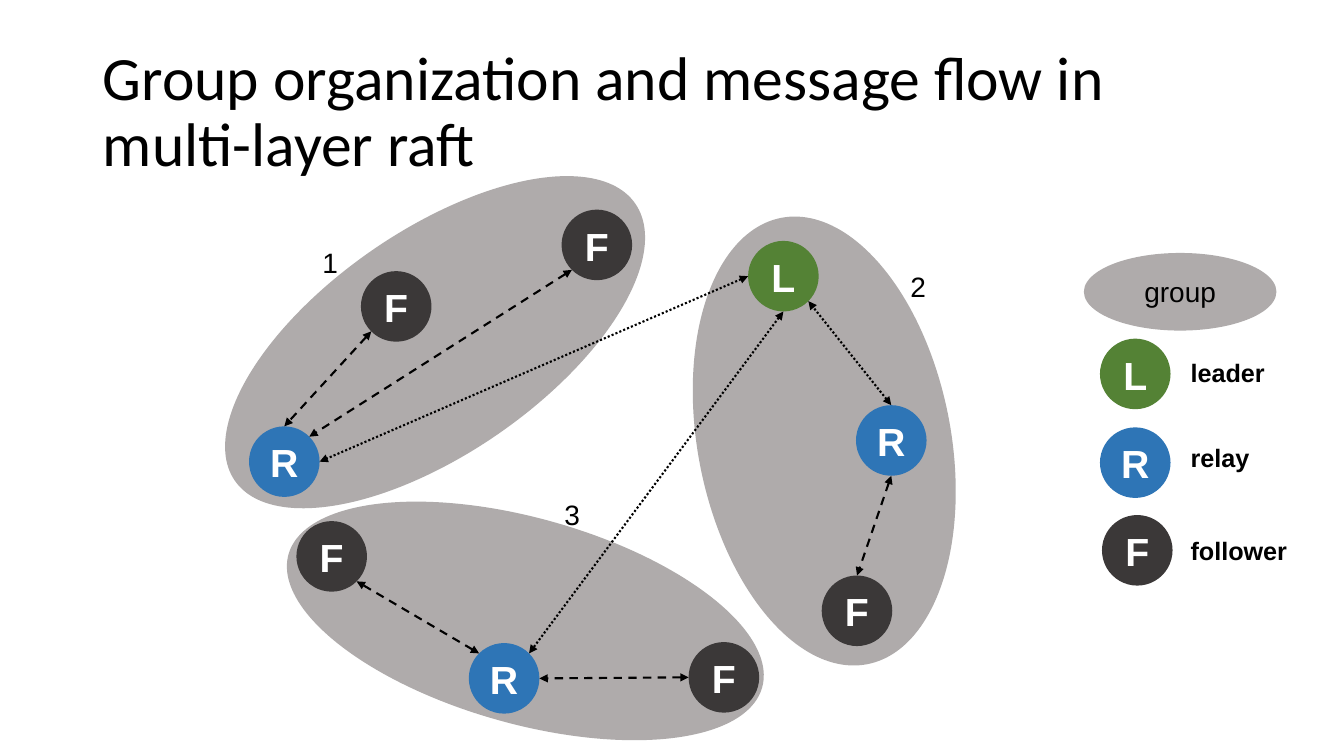
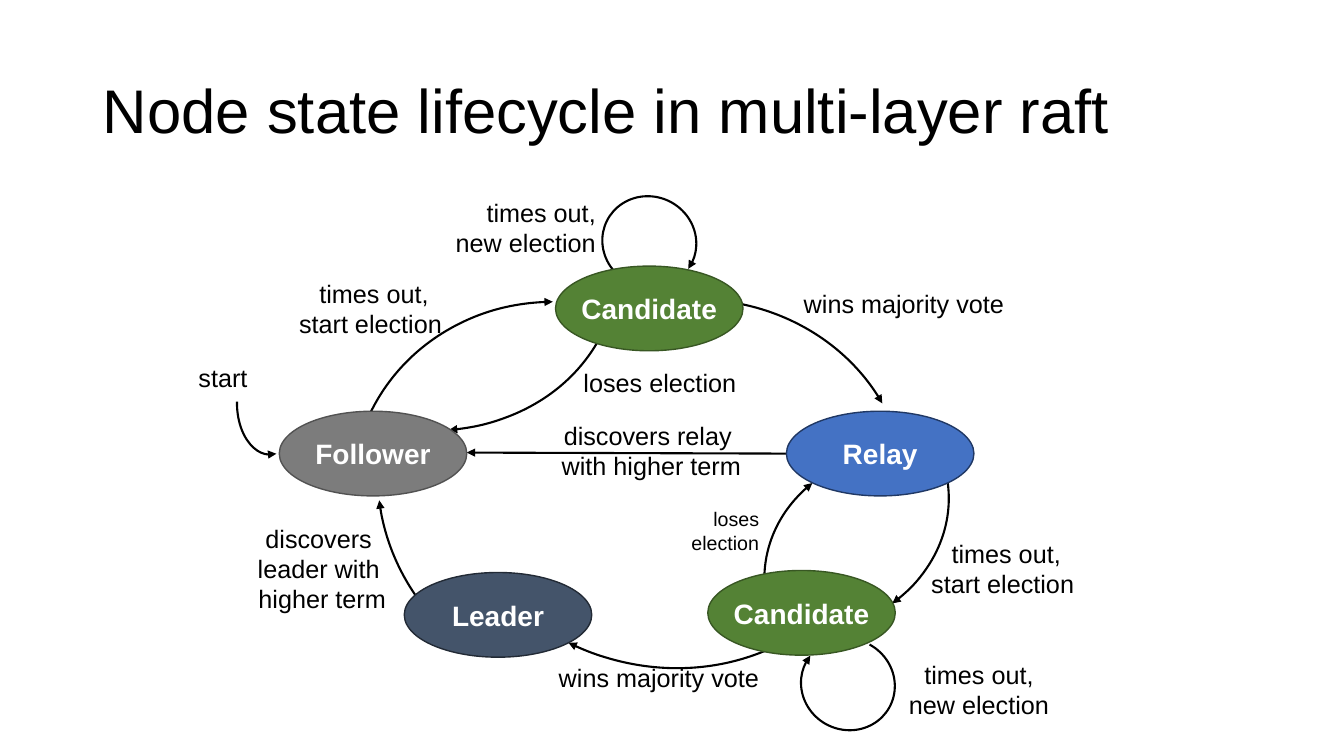
import math
from dataclasses import dataclass
from typing import Any, Optional

import lxml.etree
import pptx
import pptx.dml.color
import pptx.enum.dml
import pptx.enum.shapes
import pptx.enum.text
import pptx.oxml.ns
import pptx.shapes.shapetree
import pptx.slide
import pptx.util

RGBColor = pptx.dml.color.RGBColor
Shape = pptx.enum.shapes.MSO_SHAPE
Dash = pptx.enum.dml.MSO_LINE
Align = pptx.enum.text.PP_ALIGN
Anchor = pptx.enum.text.MSO_ANCHOR
AutoSize = pptx.enum.text.MSO_AUTO_SIZE
Canvas = pptx.shapes.shapetree.GroupShapes

BLACK = RGBColor(0x00, 0x00, 0x00)
WHITE = RGBColor(0xFF, 0xFF, 0xFF)
GROUP_GRAY = RGBColor(0xAF, 0xAB, 0xAB)
CHARCOAL = RGBColor(0x3B, 0x38, 0x38)
RELAY_BLUE = RGBColor(0x2E, 0x75, 0xB6)
GREEN = RGBColor(0x54, 0x82, 0x35)
DARK_GREEN = RGBColor(0x38, 0x57, 0x23)
STATE_GRAY = RGBColor(0x7C, 0x7C, 0x7C)
DARK_GRAY = RGBColor(0x52, 0x52, 0x52)
STATE_BLUE = RGBColor(0x44, 0x72, 0xC4)
NAVY = RGBColor(0x20, 0x38, 0x64)
SLATE = RGBColor(0x44, 0x54, 0x6A)
DARK_SLATE = RGBColor(0x22, 0x2A, 0x35)

ROLE_COLORS = {"L": GREEN, "R": RELAY_BLUE, "F": CHARCOAL}
NODE_SIZE = 0.7
STATE_WIDTH, STATE_HEIGHT = 1.86, 0.84
SITES = {"right": 0, "bottom right": 45, "bottom": 90, "bottom left": 135,
         "left": 180, "top left": 225, "top": 270, "top right": 315}


@dataclass(frozen=True)
class Box:
    """A frame in grid units, with its clockwise turn in degrees."""
    left: float
    top: float
    width: float
    height: float
    turn: float = 0


@dataclass(frozen=True)
class Node:
    """A round cluster member."""
    role: str
    left: float
    top: float

    def site(self, name: str) -> tuple[float, float]:
        """Return the point of the rim that has this name."""
        angle, radius = math.radians(SITES[name]), NODE_SIZE / 2
        return (self.left + radius * (1 + math.cos(angle)),
                self.top + radius * (1 + math.sin(angle)))


@dataclass(frozen=True)
class Link:
    """A two-way message path between two nodes."""
    start: str
    start_site: str
    end: str
    end_site: str
    dash: Any = Dash.DASH


@dataclass(frozen=True)
class State:
    """A state of the lifecycle."""
    name: str
    left: float
    top: float
    fill: RGBColor
    outline: RGBColor


@dataclass(frozen=True)
class Arc:
    """A curved transition; the arrowhead is at one end."""
    frame: Box
    start: float
    end: float
    arrow_at: str = "tailEnd"


@dataclass(frozen=True)
class Label:
    """Free text."""
    text: str
    frame: Box
    size: int = 18
    align: Any = Align.CENTER
    bold: bool = False
    inset: tuple[float, float] = (0, 0)
    wrap: bool = False


def grid(value: float) -> pptx.util.Length:
    """Convert a grid unit of 2.54 cm to a length."""
    return pptx.util.Cm(2.54 * value)


def apply(target: Any, formats: dict[str, Any]) -> None:
    """Set every format value on the target."""
    for name, value in formats.items():
        setattr(target, name, value)


def place(frame: Box) -> tuple[pptx.util.Length, ...]:
    """Return left, top, width and height as lengths."""
    return tuple(grid(value) for value in (frame.left, frame.top, frame.width, frame.height))


def write(box: Any, text: str, size: int, color: RGBColor, align: Any, bold: bool = False,
          font: str = "Arial", spacing: Optional[float] = None, **frame_formats: Any) -> None:
    """Fill a box with formatted text, one paragraph a line."""
    apply(box.text_frame, frame_formats)
    box.text_frame.text = text
    for para in box.text_frame.paragraphs:
        apply(para, {"alignment": align, "line_spacing": spacing})
        for span in para.runs:
            apply(span.font, {"name": font, "size": pptx.util.Pt(size), "bold": bold})
            span.font.color.rgb = color


def margins(left: float, top: float, right: float, bottom: float) -> dict[str, Any]:
    """Name the four text insets."""
    return {"margin_left": grid(left), "margin_top": grid(top),
            "margin_right": grid(right), "margin_bottom": grid(bottom)}


def stroke(item: Any, color: RGBColor = BLACK, width: float = 1.5, dash: Any = None,
           **heads: str) -> None:
    """Style a line; heads maps headEnd and tailEnd to arrow types."""
    item.line.color.rgb = color
    item.line.width = pptx.util.Pt(width)
    if dash is not None:
        item.line.dash_style = dash
    outline = item.element.spPr.find(pptx.oxml.ns.qn("a:ln"))
    for end, kind in heads.items():
        lxml.etree.SubElement(outline, pptx.oxml.ns.qn(f"a:{end}"), type=kind)


def add_ellipse(canvas: Canvas, frame: Box, fill: RGBColor) -> Any:
    """Draw a plain ellipse without outline."""
    ellipse = canvas.add_shape(Shape.OVAL, *place(frame))
    ellipse.rotation = frame.turn
    ellipse.shadow.inherit = False
    ellipse.fill.solid()
    ellipse.fill.fore_color.rgb = fill
    ellipse.line.fill.background()
    return ellipse


def add_node(canvas: Canvas, node: Node) -> None:
    """Draw a cluster member with its role letter."""
    circle = add_ellipse(canvas, Box(node.left, node.top, NODE_SIZE, NODE_SIZE),
                         ROLE_COLORS[node.role])
    write(circle, node.role, 28, WHITE, Align.CENTER, bold=True, word_wrap=False,
          vertical_anchor=Anchor.MIDDLE, **margins(0.1, 0.06, 0.1, 0.05))


def add_line(canvas: Canvas, start: tuple[float, float], end: tuple[float, float],
             dash: Any = None, **heads: str) -> None:
    """Draw a straight line without shadow."""
    line = canvas.add_connector(pptx.enum.shapes.MSO_CONNECTOR.STRAIGHT,
                                *(grid(value) for value in start + end))
    stroke(line, dash=dash, **heads)
    lxml.etree.SubElement(line.element.spPr, pptx.oxml.ns.qn("a:effectLst"))


def add_state(canvas: Canvas, state: State) -> None:
    """Draw a lifecycle state."""
    ellipse = add_ellipse(canvas, Box(state.left, state.top, STATE_WIDTH, STATE_HEIGHT),
                          state.fill)
    stroke(ellipse, state.outline, 1)
    write(ellipse, state.name, 20, WHITE, Align.CENTER, bold=True, word_wrap=False,
          vertical_anchor=Anchor.MIDDLE, **margins(0, 0, 0, 0))


def add_arc(canvas: Canvas, arc: Arc) -> None:
    """Draw a curved transition arrow."""
    curve = canvas.add_shape(Shape.ARC, *place(arc.frame))
    curve.rotation = arc.frame.turn
    curve.shadow.inherit = False
    curve.adjustments[0], curve.adjustments[1] = arc.start, arc.end
    curve.fill.background()
    stroke(curve, **{arc.arrow_at: "triangle"})


def add_label(canvas: Canvas, label: Label) -> None:
    """Draw a text box that fits its text."""
    box = canvas.add_textbox(*place(label.frame))
    write(box, label.text, label.size, BLACK, label.align, bold=label.bold,
          word_wrap=label.wrap, auto_size=AutoSize.SHAPE_TO_FIT_TEXT,
          **margins(*label.inset, *label.inset))


def add_page(deck: Any, title: str, font: str) -> pptx.slide.Slide:
    """Add a page with its title."""
    page = deck.slides.add_slide(deck.slide_layouts[5])
    box = page.shapes.title
    apply(box, dict(zip(("left", "top", "width", "height"), place(Box(0.92, 0.4, 11.5, 1.45)))))
    write(box, title, 44, BLACK, Align.LEFT, font=font, spacing=0.9, word_wrap=True,
          auto_size=AutoSize.NONE, vertical_anchor=Anchor.MIDDLE)
    return page


PADDED: dict[str, Any] = {"align": Align.LEFT, "inset": (0.1, 0.05)}
GROUPS = [Box(4.19, 3.72, 2.04, 4.88, 105.7), Box(6.92, 2.12, 2.51, 4.51, 169.1),
          Box(3.21, 0.98, 2.21, 4.83, 55.3)]
NODES = {
    "far 1": Node("F", 5.57, 2.08), "near 1": Node("F", 3.58, 2.69),
    "relay 1": Node("R", 2.47, 4.23),
    "leader": Node("L", 7.42, 2.39), "relay 2": Node("R", 8.49, 4.02),
    "follower 2": Node("F", 8.15, 5.71),
    "left 3": Node("F", 2.94, 5.17), "relay 3": Node("R", 4.65, 6.38),
    "right 3": Node("F", 6.83, 6.37),
}
LINKS = [
    Link("relay 2", "top", "leader", "bottom right", Dash.ROUND_DOT),
    Link("leader", "left", "relay 1", "right", Dash.ROUND_DOT),
    Link("leader", "bottom", "relay 3", "top right", Dash.ROUND_DOT),
    Link("far 1", "bottom left", "relay 1", "top right"),
    Link("near 1", "bottom left", "relay 1", "top"),
    Link("relay 3", "top left", "left 3", "bottom right"),
    Link("right 3", "left", "relay 3", "right"),
    Link("relay 2", "bottom", "follower 2", "top"),
]
LEGEND_NODES = [Node("L", 10.91, 3.36), Node("R", 10.91, 4.24), Node("F", 10.93, 5.11)]
GROUP_LABELS = [
    Label("leader", Box(11.71, 3.5, 0.95, 0.4), bold=True, **PADDED),
    Label("relay", Box(11.71, 4.34, 0.79, 0.4), bold=True, **PADDED),
    Label("follower", Box(11.71, 5.26, 1.17, 0.4), bold=True, **PADDED),
    Label("1", Box(3.1, 2.39, 0.79, 0.44), 20, wrap=True, **PADDED),
    Label("2", Box(8.93, 2.62, 0.33, 0.44), 20, wrap=True, **PADDED),
    Label("3", Box(5.5, 4.89, 0.79, 0.44), 20, wrap=True, **PADDED),
]

STATES = [
    State("Follower", 2.77, 4.08, STATE_GRAY, DARK_GRAY),
    State("Candidate", 5.51, 2.64, GREEN, DARK_GREEN),
    State("Relay", 7.8, 4.08, STATE_BLUE, NAVY),
    State("Leader", 4.01, 5.68, SLATE, DARK_SLATE),
    State("Candidate", 7.02, 5.66, GREEN, DARK_GREEN),
]
ARCS = [
    Arc(Box(1.78, -0.39, 4.04, 4.98, 123.6), 156.67, 185.78),
    Arc(Box(2.35, 3.49, 0.66, 1.02, 180), 157.89, 1.54, "headEnd"),
    Arc(Box(3.6, 2.88, 4.04, 4.33, 297.2), 161.47, 197.39),
    Arc(Box(6.42, 3.33, 2.75, 3.23, 90), 155.27, 188.78),
    Arc(Box(5.97, 1.95, 0.94, 0.9, 206.6), 161.47, 112.85),
    Arc(Box(4.8, 2.97, 4.19, 3.85), 161.47, 200.58),
    Arc(Box(4.28, 1.84, 4.55, 4.87, 134.1), 171.68, 203.7),
    Arc(Box(3.73, 2.74, 4.54, 4.18, 198.2), 180.67, 203.04),
    Arc(Box(7.94, 6.34, 0.94, 0.9, 29.4), 161.47, 112.85),
    Arc(Box(7.81, 4.23, 2.75, 3.23, 283), 149.02, 180.04),
]
START_ELECTION = "times out,\nstart election "
NEW_ELECTION = "times out,\nnew election"
TRANSITION_LABELS = [
    Label("start", Box(1.87, 3.55, 1.22, 0.4), wrap=True, **PADDED),
    Label(START_ELECTION, Box(2.96, 2.76, 1.5, 0.61)),
    Label(NEW_ELECTION, Box(4.51, 1.96, 1.4, 0.61), align=Align.RIGHT),
    Label("wins majority vote", Box(7.96, 2.86, 2.01, 0.3)),
    Label(NEW_ELECTION, Box(9.01, 6.54, 1.4, 0.61)),
    Label(START_ELECTION, Box(9.23, 5.34, 1.5, 0.61)),
    Label("discovers relay \nwith higher term", Box(5.56, 4.17, 1.8, 0.61)),
    Label("wins majority vote", Box(5.53, 6.57, 2.01, 0.3)),
    Label("discovers \nleader with \nhigher term", Box(2.55, 5.19, 1.29, 0.91)),
    Label("loses election", Box(5.78, 3.64, 1.53, 0.3)),
    Label("loses\nelection", Box(6.73, 5.03, 0.8, 0.63), 14, Align.RIGHT),
]


def build_groups(deck: Any) -> None:
    """Build the page on groups and message flow."""
    page = add_page(deck, "Group organization and message flow in multi-layer raft", "Calibri")
    diagram = page.shapes.add_group_shape().shapes
    for frame in GROUPS:
        add_ellipse(diagram, frame, GROUP_GRAY)
    for node in NODES.values():
        add_node(diagram, node)
    for link in LINKS:
        add_line(diagram, NODES[link.start].site(link.start_site),
                 NODES[link.end].site(link.end_site), link.dash,
                 headEnd="triangle", tailEnd="triangle")
    legend_group = add_ellipse(page.shapes, Box(10.75, 2.51, 1.91, 0.77), GROUP_GRAY)
    write(legend_group, "group", 20, BLACK, Align.CENTER, word_wrap=False,
          vertical_anchor=Anchor.MIDDLE)
    for node in LEGEND_NODES:
        add_node(page.shapes, node)
    for label in GROUP_LABELS:
        add_label(page.shapes, label)


def build_lifecycle(deck: Any) -> None:
    """Build the page on node states."""
    page = add_page(deck, "Node state lifecycle in multi-layer raft", "Arial")
    diagram = page.shapes.add_group_shape().shapes
    for arc in ARCS:
        add_arc(diagram, arc)
    add_line(diagram, (7.8, 4.5), (4.63, 4.49), tailEnd="triangle")
    for state in STATES:
        add_state(diagram, state)
    for label in TRANSITION_LABELS:
        add_label(diagram, label)


deck = pptx.Presentation()
apply(deck, {"slide_width": grid(13.33), "slide_height": grid(7.5)})
build_groups(deck)
build_lifecycle(deck)
deck.save("out.pptx")
